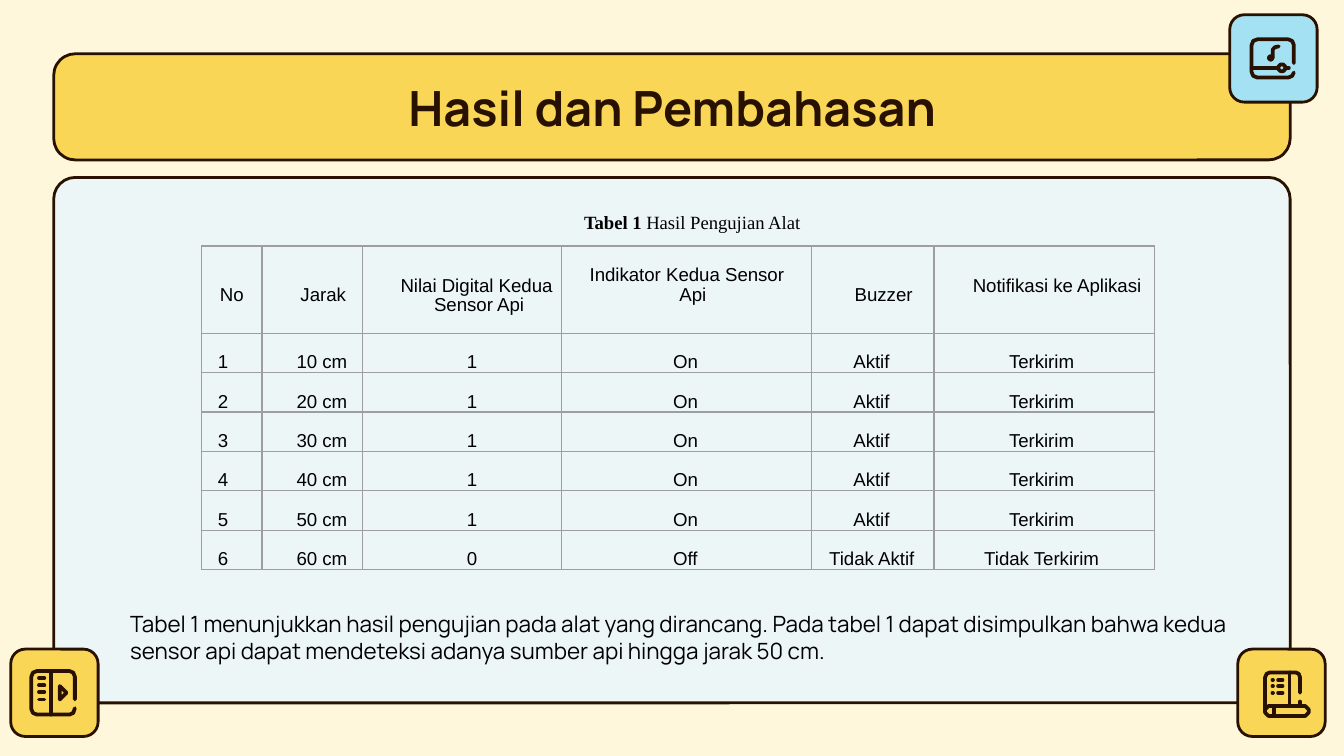
from dataclasses import dataclass

from lxml import etree
from pptx import Presentation
from pptx.dml.color import RGBColor
from pptx.enum.shapes import MSO_SHAPE
from pptx.enum.text import MSO_ANCHOR, PP_ALIGN
from pptx.oxml.ns import qn
from pptx.util import Inches, Pt

ROUNDED = MSO_SHAPE.ROUNDED_RECTANGLE
LEFT, CENTER, RIGHT = PP_ALIGN.LEFT, PP_ALIGN.CENTER, PP_ALIGN.RIGHT
TOP, MIDDLE, BOTTOM = MSO_ANCHOR.TOP, MSO_ANCHOR.MIDDLE, MSO_ANCHOR.BOTTOM
COLUMNS = 100
ICON_UNITS = 10


@dataclass(frozen=True)
class Theme:
    cream: str = "FFF7DC"
    mist: str = "EDF6F7"
    yellow: str = "F9D656"
    sky: str = "A4E1F2"
    ink: str = "281101"
    black: str = "000000"
    grid: str = "9E9E9E"
    display: str = "Manrope"
    sans: str = "Arial"
    serif: str = "Times New Roman"
    title: float = 26
    body: float = 12
    small: float = 10
    leading: float = 10.5
    outline: float = 1.5
    stroke: float = 2
    hairline: float = 0.75


class Deck:
    def __init__(self, theme, width, height):
        self.theme = theme
        self.presentation = Presentation()
        self.presentation.slide_width = Inches(width)
        self.presentation.slide_height = Inches(height)
        self.unit = self.presentation.slide_width / COLUMNS
        self.slide = self.presentation.slides.add_slide(self.presentation.slide_layouts[6])
        background = self.slide.background.fill
        background.solid()
        background.fore_color.rgb = RGBColor.from_string(theme.cream)

    def grid(self, *lengths):
        return [round(length * self.unit) for length in lengths]

    def format_run(self, run, font, size, color, bold=False):
        run.font.name, run.font.size, run.font.bold = font, Pt(size), bold
        run.font.color.rgb = RGBColor.from_string(color)

    def outline(self, shape, width):
        shape.shadow.inherit = False
        shape.line.color.rgb = RGBColor.from_string(self.theme.ink)
        shape.line.width = Pt(width)

    def panel(self, box, fill, rounding):
        panel = self.slide.shapes.add_shape(ROUNDED, *self.grid(*box))
        panel.adjustments[0] = rounding
        panel.fill.solid()
        panel.fill.fore_color.rgb = RGBColor.from_string(fill)
        self.outline(panel, self.theme.outline)

    def text(self, box, parts, font, size, color, align=LEFT, anchor=TOP):
        frame = self.slide.shapes.add_textbox(*self.grid(*box)).text_frame
        frame.word_wrap = True
        frame.vertical_anchor = anchor
        paragraph = frame.paragraphs[0]
        paragraph.alignment = align
        for wording, bold in parts:
            run = paragraph.add_run()
            run.text = wording
            self.format_run(run, font, size, color, bold)

    def badge(self, left, top, fill, icon_left, icon_top, strokes):
        self.panel((left, top, 6.5, 6.5), fill, 0.167)
        scaled = [[(x * ICON_UNITS, y * ICON_UNITS) for x, y in line] for line in strokes]
        builder = self.slide.shapes.build_freeform(*scaled[0][0], scale=self.unit / 100)
        for index, line in enumerate(scaled):
            if index:
                builder.move_to(*line[0])
            builder.add_line_segments(line[1:], close=False)
        icon = builder.convert_to_shape(*self.grid(icon_left, icon_top))
        icon.fill.background()
        self.outline(icon, self.theme.stroke)
        stroke = icon.element.spPr.find(qn("a:ln"))
        stroke.set("cap", "rnd")
        etree.SubElement(stroke, qn("a:round"))

    def indent(self, paragraph, left, hanging=0):
        margin, overhang = self.grid(left, hanging)
        properties = paragraph._p.get_or_add_pPr()
        properties.set("marL", str(margin))
        properties.set("indent", str(-overhang))

    def border(self, cell):
        properties = cell._tc.get_or_add_tcPr()
        for position, side in enumerate(("a:lnL", "a:lnR", "a:lnT", "a:lnB")):
            edge = etree.Element(qn(side), w=str(Pt(self.theme.hairline)))
            fill = etree.SubElement(edge, qn("a:solidFill"))
            etree.SubElement(fill, qn("a:srgbClr"), val=self.theme.grid)
            properties.insert(position, edge)

    def cell(self, cell, wording, align, left=0, right=0, top=0, hanging=0, anchor=BOTTOM):
        cell.margin_left, cell.margin_right, cell.margin_top, cell.margin_bottom = self.grid(left, right, top, 0)
        cell.vertical_anchor = anchor
        cell.fill.background()
        self.border(cell)
        cell.text_frame.text = wording
        for paragraph in cell.text_frame.paragraphs:
            paragraph.alignment = align
            paragraph.line_spacing = Pt(self.theme.leading)
            if hanging:
                self.indent(paragraph, hanging, hanging)
            for run in paragraph.runs:
                self.format_run(run, self.theme.sans, self.theme.small, self.theme.black)

    def table(self, box, widths, heights, headings, records, column_styles):
        table = self.slide.shapes.add_table(len(heights), len(widths), *self.grid(*box)).table
        table.first_row = table.horz_banding = False
        for column, width in zip(table.columns, self.grid(*widths)):
            column.width = width
        for row, height in zip(table.rows, self.grid(*heights)):
            row.height = height
        for index, (wording, style) in enumerate(headings):
            self.cell(table.cell(0, index), wording, anchor=TOP, **style)
        for row, record in enumerate(records, 1):
            for index, (wording, style) in enumerate(zip(record, column_styles)):
                self.cell(table.cell(row, index), wording, **style)
        return table


def open_frame(width, height, gap_top, gap_bottom):
    near, far, low = 1.3, width - 1.3, height - 1.3
    return [(far, gap_top), (far, 5.5), (far - 1.2, 2.5), (far - 4, near), (5.5, near), (2.5, 2.5),
            (near, 5.5), (near, low - 4), (2.5, low - 1.2), (5.5, low), (far - 4, low),
            (far - 1.2, low - 1.2), (far, gap_bottom)]


def capsule(left, top, width, height, cut):
    right, bottom = left + width, top + height
    return [(left + cut, top), (right - cut, top), (right, top + cut), (right, bottom - cut),
            (right - cut, bottom), (left + cut, bottom), (left, bottom - cut), (left, top + cut),
            (left + cut, top)]


def dash(left, right, y):
    return [(left, y), (right, y)]


def build():
    theme = Theme()
    deck = Deck(theme, 10, 10 * 9 / 16)
    deck.panel((4, 13.2, 92, 39.1), theme.mist, 0.041)
    deck.panel((4, 4, 92, 7.9), theme.yellow, 0.204)
    deck.text((7.9, 4.7, 84.3, 6.5), [("Hasil dan Pembahasan", True)],
              theme.display, theme.title, theme.ink, CENTER, MIDDLE)

    headings = [
        ("No", dict(align=CENTER, top=3)),
        ("Jarak", dict(align=CENTER, left=1.6, top=3)),
        ("Nilai Digital Kedua Sensor Api", dict(align=LEFT, left=2.8, top=2.3, hanging=2.5)),
        ("Indikator Kedua Sensor\nApi", dict(align=CENTER, top=1.5)),
        ("Buzzer", dict(align=CENTER, left=1.6, top=3)),
        ("Notifikasi ke Aplikasi", dict(align=CENTER, left=1.9, top=2.3)),
    ]
    column_styles = [
        dict(align=CENTER, right=1.3), dict(align=CENTER, left=1.4), dict(align=RIGHT, right=6.3),
        dict(align=CENTER, right=0.2), dict(align=LEFT, left=3.1), dict(align=CENTER, right=0.4),
    ]
    detected = ("1", "On", "Aktif", "Terkirim")
    missed = ("0", "Off", "Tidak Aktif", "Tidak Terkirim")
    records = [(str(number), f"{number * 10} cm", *(detected if number <= 5 else missed))
               for number in range(1, 7)]
    results = deck.table((15, 18.3, 70.9, 24.1), (4.5, 7.5, 14.8, 18.6, 9.1, 16.4),
                         (6.5, *[2.93] * 6), headings, records, column_styles)
    deck.indent(results.cell(0, 3).text_frame.paragraphs[1], 0.9)
    results.cell(6, 4).margin_left, = deck.grid(1.3)

    deck.text((8.7, 44.9, 85.5, 5), [(
        "Tabel 1 menunjukkan hasil pengujian pada alat yang dirancang. Pada tabel 1 dapat disimpulkan "
        "bahwa kedua sensor api dapat mendeteksi adanya sumber api hingga jarak 50 cm.", False)],
        theme.display, theme.body, theme.black)
    deck.text((41.7, 15.2, 19.6, 2.7), [("Tabel 1 ", True), ("Hasil Pengujian Alat", False)],
              theme.serif, theme.small, theme.black, CENTER)

    video_notes = [open_frame(35, 35, 22.5, 29), [(15.7, 1.3), (15.7, 33.7)],
                   [(22.5, 12.5), (27.5, 17.5), (22.5, 22.5), (22.5, 12.5)],
                   *[dash(7, 11, y) for y in (6.5, 12, 17, 22.5)]]
    script_roll = [[(1.3, 29), (1.3, 5), (2.5, 2.3), (5, 1.3), (24, 1.3), (26.3, 2.3), (27.3, 5), (27.3, 16.5)],
                   [(27.3, 23), (27.3, 26.3)], [(19.5, 1.3), (19.5, 26.3)],
                   capsule(1.3, 26.3, 32.4, 7.4, 2.5), [(8, 28), (8, 32)],
                   *[dash(*span, y) for y in (7, 11.5, 16.5) for span in ((6.8, 7.2), (11, 14.3))]]
    music_player = [open_frame(34, 31, 19, 26), dash(1.3, 21, 22.5), dash(26.5, 29, 22.5),
                    capsule(21.3, 20, 5, 5, 1.5), capsule(14.2, 13.8, 2.6, 2.6, 0.9),
                    [(21.5, 6.5), (18.5, 7.2), (17, 9), (17, 15)]]
    deck.badge(0.8, 48.3, theme.yellow, 2.2, 49.8, video_notes)
    deck.badge(92.1, 48.3, theme.yellow, 94, 49.9, script_roll)
    deck.badge(91.5, 1.1, theme.sky, 93, 2.8, music_player)
    deck.presentation.save("out.pptx")


if __name__ == "__main__":
    build()
